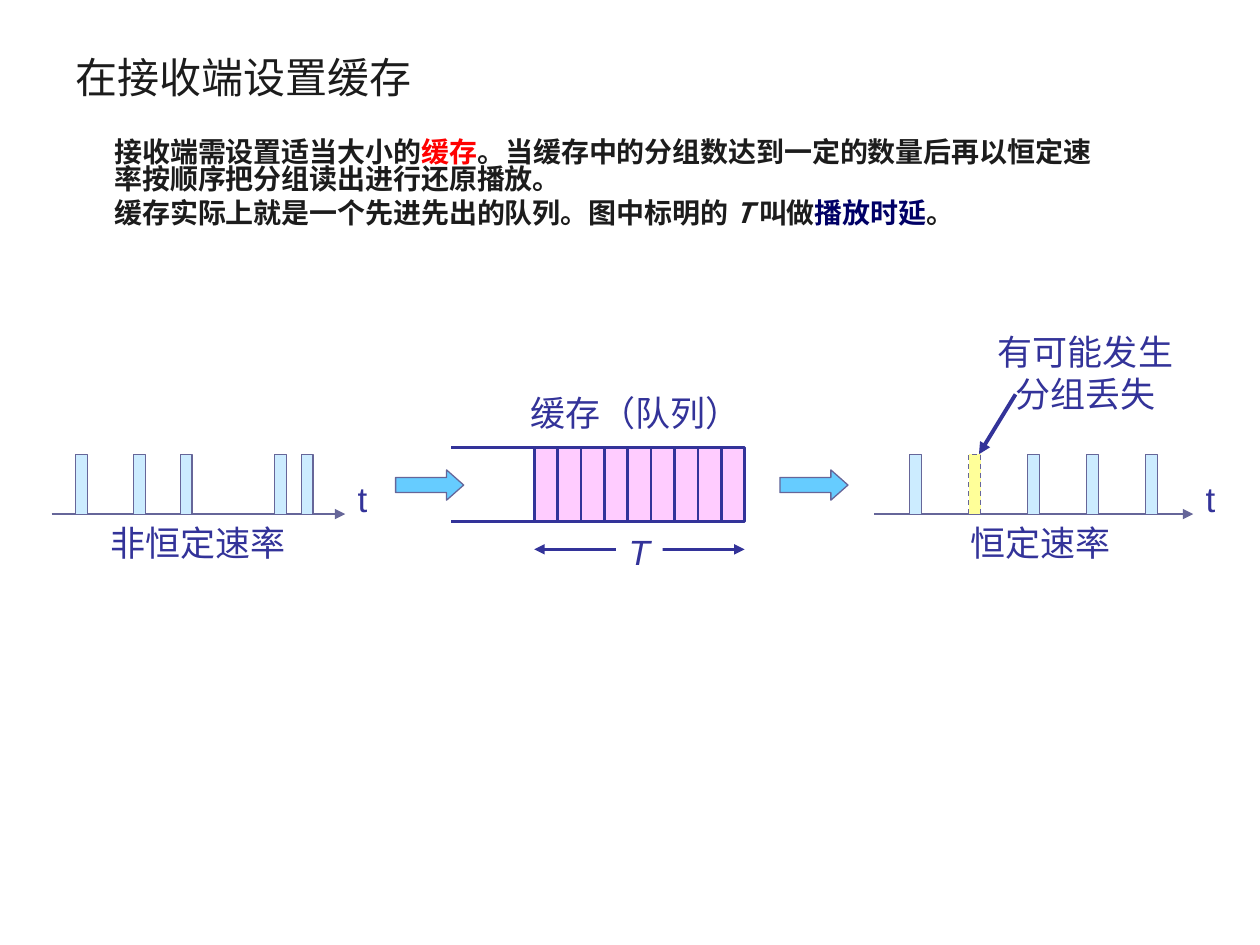
from lxml import etree
from pptx import Presentation
from pptx.dml.color import RGBColor
from pptx.enum.dml import MSO_LINE_DASH_STYLE as DASH
from pptx.enum.shapes import MSO_CONNECTOR as CONNECTOR, MSO_SHAPE as SHAPE
from pptx.enum.text import MSO_ANCHOR as ANCHOR, PP_ALIGN as ALIGN
from pptx.oxml.ns import qn
from pptx.util import Inches, Pt

WIDTH, HEIGHT = Inches(10), Inches(7.5)
COLUMN = WIDTH / 100  # square grid: 100 columns by 75 rows
CJK, LATIN = "Noto Sans CJK SC", "Arial"
INK, BLUE, SLATE, NAVY, RED = "1C1C1C", "333399", "666699", "000066", "FF0000"
PACKET, LOST, QUEUE, ARROW, WHITE = "CCECFF", "FFFF99", "FFCCFF", "66CCFF", "FFFFFF"
PACKET_W, PACKET_H, LABEL_H = 0.94, 4.75, 4.4


def grid(*lengths):
    return [round(length * COLUMN) for length in lengths]


def color(hex_string):
    return RGBColor.from_string(hex_string)


def paint(shape, fill=None, line=None, weight=0.75, dash=None):
    shape.shadow.inherit = False
    if fill:
        shape.fill.solid()
        shape.fill.fore_color.rgb = color(fill)
    else:
        shape.fill.background()
    if line:
        shape.line.color.rgb = color(line)
        shape.line.width = Pt(weight)
        if dash:
            shape.line.dash_style = dash
    else:
        shape.line.fill.background()


def add_run(paragraph, text, size, font, ink, **formats):
    run = paragraph.add_run()
    run.text = text
    settings = {"size": Pt(size), "name": font, **formats}
    for key, value in settings.items():
        setattr(run.font, key, value)
    run.font.color.rgb = color(ink)
    latin = run.font._element.find(qn("a:latin"))
    east_asian = etree.Element(qn("a:ea"), typeface=font)
    latin.addnext(east_asian)


def add_label(slide, box, *lines, align=ALIGN.LEFT, fill=None, italic=False):
    label = slide.shapes.add_textbox(*grid(*box))
    if fill:
        paint(label, fill)
    frame = label.text_frame
    frame.word_wrap = False
    for number, text in enumerate(lines):
        paragraph = frame.add_paragraph() if number else frame.paragraphs[0]
        paragraph.alignment = align
        add_run(paragraph, text, 20, LATIN, BLUE, italic=italic)


def add_line(slide, start, end, ink, weight, head=False, tail=False):
    line = slide.shapes.add_connector(CONNECTOR.STRAIGHT, *grid(*start, *end))
    line.line.color.rgb = color(ink)
    line.line.width = Pt(weight)
    outline = line.line._get_or_add_ln()
    for tag, wanted in (("a:headEnd", head), ("a:tailEnd", tail)):
        if wanted:
            etree.SubElement(outline, qn(tag), type="triangle")
    etree.SubElement(line._element.spPr, qn("a:effectLst"))


def add_open_path(slide, points, **look):
    first, *others = [grid(*point) for point in points]
    builder = slide.shapes.build_freeform(*first)
    builder.add_line_segments(others, close=False)
    paint(builder.convert_to_shape(), **look)


def add_title(slide, box, text):
    frame = slide.shapes.add_textbox(*grid(*box)).text_frame
    frame.word_wrap = True
    frame.vertical_anchor = ANCHOR.MIDDLE
    add_run(frame.paragraphs[0], text, 24, CJK, INK)


def add_body(slide, box, paragraphs):
    frame = slide.shapes.add_textbox(*grid(*box)).text_frame
    frame.word_wrap = True
    for number, runs in enumerate(paragraphs):
        paragraph = frame.add_paragraph() if number else frame.paragraphs[0]
        paragraph.space_before = Pt(4)
        paragraph.line_spacing = 0.8
        paragraph._p.get_or_add_pPr().set("marL", str(Inches(0.38)))
        for text, ink, italic in runs:
            add_run(paragraph, text, 16, CJK, ink, bold=True, italic=italic)


def add_timeline(slide, box, offsets, caption, caption_box, lost=None):
    """Time axis along the bottom of the box, with a packet at each offset."""
    left, top, width, height = box
    axis = top + height
    add_line(slide, (left, axis), (left + width, axis), SLATE, 0.75, tail=True)
    for number, offset in enumerate(offsets):
        start, end = left + offset, left + offset + PACKET_W
        is_lost = number == lost
        add_open_path(slide, [(start, axis), (start, top), (end, top), (end, axis)],
                      fill=LOST if is_lost else PACKET, line=SLATE,
                      dash=DASH.DASH if is_lost else None)
    add_label(slide, (left + width, axis - 3.4, 2.7, LABEL_H), "t")
    caption_left, caption_width = caption_box
    add_label(slide, (caption_left, axis + 0.1, caption_width, LABEL_H), caption)


def add_queue(slide, box, mouth, cells):
    """Queue whose filled cells follow an open mouth on its left."""
    left, top, width, height = box
    right, bottom, first = left + width, top + height, left + mouth
    cell = (right - first) / cells
    filled = slide.shapes.add_shape(SHAPE.RECTANGLE, *grid(first, top, right - first, height))
    paint(filled, QUEUE)
    add_open_path(slide, [(left, top), (right, top), (right, bottom), (left, bottom)],
                  line=BLUE, weight=1.5)
    for number in range(cells):
        x = first + number * cell
        add_line(slide, (x, top), (x, bottom), BLUE, 1.5)
    add_label(slide, (first - 1.3, top - 4.9, 18.7, LABEL_H), "缓存（队列）")
    delay = bottom + 2.2
    add_line(slide, (first, delay), (right, delay), BLUE, 1.5, head=True, tail=True)
    add_label(slide, ((first + right - 3.7) / 2, delay - 2, 3.7, LABEL_H), "T",
              fill=WHITE, italic=True)


def add_flow_arrow(slide, box):
    arrow = slide.shapes.add_shape(SHAPE.RIGHT_ARROW, *grid(*box))
    arrow.adjustments[1] = 0.565
    paint(arrow, ARROW, SLATE)


def add_loss_note(slide, box, packet_top):
    left, top, _, _ = box
    add_label(slide, box, "有可能发生", "分组丢失", align=ALIGN.CENTER)
    add_line(slide, (left + 2.4, top + 5.6), packet_top, BLUE, 2.25, tail=True)


def main():
    deck = Presentation()
    deck.slide_width, deck.slide_height = WIDTH, HEIGHT
    slide = deck.slides.add_slide(deck.slide_layouts[6])

    add_title(slide, (5, 3, 90, 6.1), "在接收端设置缓存")
    add_body(slide, (4.3, 10.7, 85, 19.7), [
        [("接收端需设置适当大小的", INK, False),
         ("缓存", RED, False),
         ("。当缓存中的分组数达到一定的数量后再以恒定速率按顺序把分组读出进行还原播放。",
          INK, False)],
        [("缓存实际上就是一个先进先出的队列。图中标明的 ", INK, False),
         ("T ", INK, True),
         ("叫做", INK, False),
         ("播放时延", NAVY, False),
         ("。", INK, False)],
    ])

    packet_top = 36.05
    add_timeline(slide, (4.1, packet_top, 23.3, PACKET_H), [1.9, 6.5, 10.2, 17.7, 19.8],
                 "非恒定速率", (7.8, 15.9))
    add_queue(slide, (35.8, 35.5, 23.3, 5.9), mouth=6.6, cells=9)
    steady = [2.8 + 4.68 * number for number in range(5)]
    add_timeline(slide, (69.4, packet_top, 25.3, PACKET_H), steady,
                 "恒定速率", (76, 13.1), lost=1)
    for left in (31.4, 61.9):
        add_flow_arrow(slide, (left, 37.3, 5.4, 2.4))
    add_loss_note(slide, (78.2, 25.7, 15.9, 7.7), (77.7, packet_top))

    deck.save("out.pptx")


if __name__ == "__main__":
    main()
